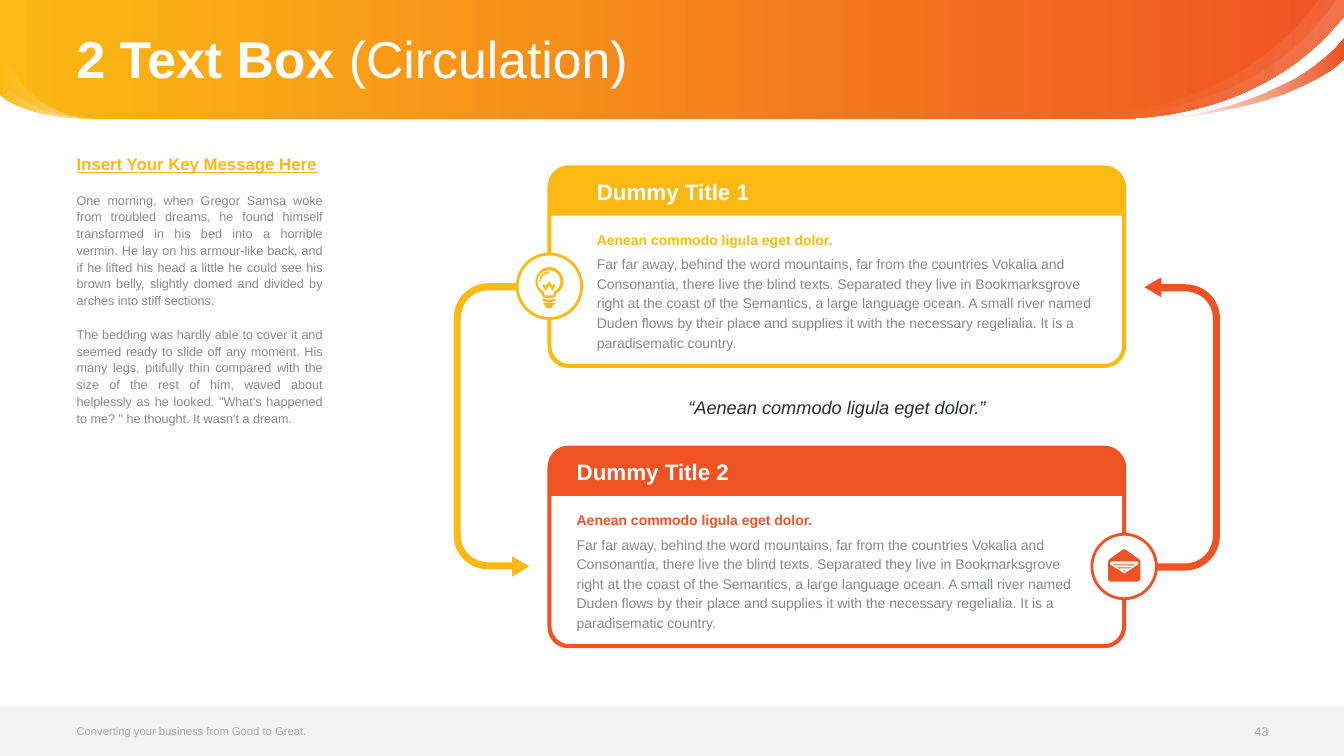
from dataclasses import dataclass

from lxml import etree
from pptx import Presentation
from pptx.dml.color import RGBColor
from pptx.enum.shapes import MSO_SHAPE
from pptx.enum.text import MSO_ANCHOR, MSO_AUTO_SIZE, PP_ALIGN
from pptx.oxml.ns import qn
from pptx.util import Inches, Pt

YELLOW = RGBColor(0xFC, 0xB8, 0x13)
ORANGE = RGBColor(0xEF, 0x53, 0x23)
WHITE = RGBColor(0xFF, 0xFF, 0xFF)
GREY = RGBColor(0x85, 0x89, 0x8F)
DARK = RGBColor(0x29, 0x2C, 0x34)
FOOTER_GREY = RGBColor(0xA6, 0xA6, 0xA6)
FOOTER_FILL = RGBColor(0xF2, 0xF2, 0xF2)
LEFT, CENTER, RIGHT, JUSTIFY = PP_ALIGN.LEFT, PP_ALIGN.CENTER, PP_ALIGN.RIGHT, PP_ALIGN.JUSTIFY
TOP, MIDDLE = MSO_ANCHOR.TOP, MSO_ANCHOR.MIDDLE
NO_FIT, GROW = MSO_AUTO_SIZE.NONE, MSO_AUTO_SIZE.SHAPE_TO_FIT_TEXT
RECTANGLE, OVAL = MSO_SHAPE.RECTANGLE, MSO_SHAPE.OVAL

# A contour lists points (x, y) and Bezier curves (x1, y1, x2, y2, x, y), in inches
Contour = list[tuple[float, ...]]


@dataclass(frozen=True)
class Stop:
    position: float
    color: RGBColor
    opacity: int = 100


@dataclass(frozen=True)
class Swoosh:
    contour: Contour
    stops: tuple[Stop, Stop]


@dataclass(frozen=True)
class Card:
    title: str
    color: RGBColor
    top: float
    text_left: float
    icon_left: float
    icon: list[list[Contour]]


@dataclass(frozen=True)
class Style:
    size: float
    color: RGBColor
    bold: bool = False
    italic: bool = False
    underline: bool = False


# Banner outlines
SHEEN = (Stop(0.15, WHITE, 0), Stop(1, WHITE, 10))
GLOW = (Stop(0, WHITE, 0), Stop(1, WHITE, 50))
SWOOSHES = [
    Swoosh([(13.33, 0), (13.33, 0.16), (12.66, 1, 11.7, 1.17, 11.05, 1.18), (0.97, 1.18),
            (0.18, 1.17, 0, 0.94, 0, 0.94), (0, 0)], (Stop(0, YELLOW), Stop(1, ORANGE))),
    Swoosh([(13.33, 0), (13.33, 0.16), (12.24, 1.53, 10.39, 1.13, 10.34, 1.12),
            (10.4, 1.12, 12.32, 1.39, 13.24, 0)], SHEEN),
    Swoosh([(11.57, 1.18), (11.57, 1.18, 12.82, 1.03, 13.33, 0.37), (13.33, 0.59),
            (13.33, 0.59, 12.94, 1.04, 11.57, 1.18)], (Stop(0, ORANGE, 0), Stop(1, ORANGE))),
    Swoosh([(13.33, 0), (13.33, 0.16), (12.23, 1.55, 10.34, 1.12, 10.34, 1.12),
            (11.89, 1.22, 12.7, 0.5, 13.07, 0)], SHEEN),
    *(Swoosh([(0.98, 1.18), (0.18, 1.17, 0, 0.94, 0, 0.94), (0, top),
              (0, top, 0.18, bend, 0.98, 1.18)], GLOW) for top, bend in ((0.76, 1.17), (0.45, 1.16))),
]

# Circulation arrow, and the frame of the first card
ARROW: Contour = [
    (5.25, 5.62), (5.08, 5.52), (5.08, 5.58), (4.85, 5.58), (4.69, 5.58, 4.57, 5.46, 4.57, 5.31),
    (4.57, 3.16), (4.57, 3, 4.69, 2.88, 4.85, 2.88), (5.13, 2.88), (5.13, 2.81), (4.85, 2.81),
    (4.65, 2.81, 4.5, 2.97, 4.5, 3.16), (4.5, 5.31), (4.5, 5.5, 4.65, 5.65, 4.85, 5.65),
    (5.08, 5.65), (5.08, 5.72)]
FRAME_TOP = 1.64
FRAME: list[Contour] = [
    [(10.95, 1.64), (5.64, 1.64), (5.52, 1.64, 5.43, 1.74, 5.43, 1.86), (5.43, 3.43),
     (5.43, 3.56, 5.52, 3.65, 5.64, 3.65), (10.95, 3.65), (11.07, 3.65, 11.17, 3.56, 11.17, 3.43),
     (11.17, 1.86), (11.17, 1.74, 11.07, 1.64, 10.95, 1.64)],
    [(10.95, 3.61), (5.64, 3.61), (5.55, 3.61, 5.47, 3.53, 5.47, 3.43), (5.47, 2.14),
     (11.13, 2.14), (11.13, 3.43), (11.13, 3.53, 11.05, 3.61, 10.95, 3.61)]]

# Icons
BULB: list[Contour] = [
    [(5.39, 3), (5.39, 3.02), (5.41, 3.03), (5.41, 3.05), (5.42, 3.06, 5.47, 3.06, 5.48, 3.05),
     (5.48, 3.03), (5.5, 3.02), (5.51, 3), (5.47, 3.01, 5.43, 3.01, 5.39, 3)],
    [(5.38, 2.96), (5.38, 2.98), (5.42, 3.01, 5.47, 3.01, 5.51, 2.98),
     (5.51, 2.96), (5.47, 2.98, 5.42, 2.98, 5.38, 2.96)],
    [(5.45, 2.65), (5.37, 2.65, 5.31, 2.72, 5.31, 2.79), (5.31, 2.84, 5.34, 2.89, 5.37, 2.91),
     (5.38, 2.94), (5.42, 2.97, 5.47, 2.97, 5.51, 2.94),
     (5.52, 2.91), (5.56, 2.89, 5.59, 2.84, 5.59, 2.79), (5.59, 2.72, 5.52, 2.65, 5.45, 2.65)],
    [(5.5, 2.89), (5.49, 2.93), (5.4, 2.93), (5.39, 2.89),
     (5.36, 2.88, 5.33, 2.84, 5.33, 2.79), (5.33, 2.73, 5.38, 2.68, 5.45, 2.68),
     (5.51, 2.68, 5.56, 2.73, 5.56, 2.79), (5.56, 2.84, 5.53, 2.88, 5.5, 2.89)]]
FILAMENT: list[Contour] = [
    [(5.49, 2.82), (5.48, 2.84), (5.45, 2.79), (5.41, 2.84), (5.4, 2.82), (5.38, 2.83),
     (5.41, 2.89), (5.45, 2.83), (5.48, 2.89), (5.51, 2.83)],
    [(5.45, 2.71), (5.45, 2.69), (5.39, 2.69, 5.35, 2.74, 5.35, 2.79), (5.36, 2.8),
     (5.36, 2.75, 5.4, 2.71, 5.45, 2.71)]]
ENVELOPE: list[Contour] = [
    [(11.3, 5.55), (11.16, 5.45), (11.14, 5.45), (11, 5.55), (10.99, 5.57), (10.99, 5.75),
     (11.01, 5.77), (11.29, 5.77), (11.31, 5.75), (11.31, 5.57)],
    [(11.29, 5.6), (11.15, 5.69), (11.01, 5.6), (11.01, 5.58), (11.02, 5.57), (11.28, 5.57),
     (11.29, 5.58)],
    [(11.15, 5.67), (11.18, 5.66), (11.13, 5.66)],
    [(11.05, 5.61), (11.25, 5.61), (11.25, 5.6), (11.05, 5.6)],
    [(11.1, 5.64), (11.2, 5.64), (11.22, 5.63), (11.08, 5.63)]]

CARDS = [Card("Dummy Title 1", YELLOW, 1.64, 5.92, 5.13, [BULB, FILAMENT]),
         Card("Dummy Title 2", ORANGE, 4.42, 5.72, 10.83, [ENVELOPE])]
SUBTITLE = "Aenean commodo ligula eget dolor."
CARD_TEXT = ("Far far away, behind the word mountains, far from the countries Vokalia and Consonantia, "
             "there live the blind texts. Separated they live in Bookmarksgrove right at the coast of the "
             "Semantics, a large language ocean. A small river named Duden flows by their place and "
             "supplies it with the necessary regelialia. It is a paradisematic country.")
MESSAGE = [
    ("Insert Your Key Message Here", Style(12, YELLOW, bold=True, underline=True)),
    ("One morning, when Gregor Samsa woke from troubled dreams, he found himself transformed in his bed "
     "into a horrible vermin. He lay on his armour-like back, and if he lifted his head a little he could "
     "see his brown belly, slightly domed and divided by arches into stiff sections.", Style(9, GREY)),
    ("The bedding was hardly able to cover it and seemed ready to slide off any moment. His many legs, "
     "pitifully thin compared with the size of the rest of him, waved about helplessly as he looked. "
     "\"What's happened to me? \" he thought. It wasn't a dream.", Style(9, GREY))]


def bend_curves(shape, contours: list[Contour]) -> None:
    """Join the three segments drawn for each curve into one Bezier segment."""
    nodes = iter(list(next(shape._element.iter(qn("a:path")))))
    for contour in contours:
        for item in contour:
            node = next(nodes)
            if len(item) == 6:
                node.tag = qn("a:cubicBezTo")
                for follower in (next(nodes), next(nodes)):
                    node.append(follower[0])
                    follower.getparent().remove(follower)
        next(nodes)  # the closing node


def draw_outline(slide, contours: list[Contour], color: RGBColor | None = None, down: float = 0):
    paths = [[(Inches(item[i]), Inches(item[i + 1] + down)) for item in contour
              for i in range(0, len(item), 2)] for contour in contours]
    builder = slide.shapes.build_freeform(*paths[0][0], scale=1.0)
    for index, points in enumerate(paths):
        if index:
            builder.move_to(*points[0])
        builder.add_line_segments(points[1:], close=True)
    shape = builder.convert_to_shape()
    bend_curves(shape, contours)
    shape.shadow.inherit = False
    shape.line.fill.background()
    if color is not None:
        shape.fill.solid()
        shape.fill.fore_color.rgb = color
    return shape


def draw_swoosh(slide, swoosh: Swoosh) -> None:
    fill = draw_outline(slide, [swoosh.contour]).fill
    fill.gradient()
    fill.gradient_angle = 0
    for gradient_stop, stop in zip(fill.gradient_stops, swoosh.stops):
        gradient_stop.position = stop.position
        gradient_stop.color.rgb = stop.color
        color_element = gradient_stop._gs.find(qn("a:srgbClr"))
        etree.SubElement(color_element, qn("a:alpha")).set("val", str(stop.opacity * 1000))


def draw_preset(slide, kind, box: tuple[float, ...], color: RGBColor, line: RGBColor | None = None) -> None:
    shape = slide.shapes.add_shape(kind, *map(Inches, box))
    shape.shadow.inherit = False
    shape.fill.solid()
    shape.fill.fore_color.rgb = color
    if line is None:
        shape.line.fill.background()
    else:
        shape.line.color.rgb = line
        shape.line.width = Pt(2)


def format_frame(shape, box: tuple[float, ...], anchor=TOP, fit=NO_FIT):
    shape.left, shape.top, shape.width, shape.height = map(Inches, box)
    frame = shape.text_frame
    frame.word_wrap = True
    frame.auto_size = fit
    frame.vertical_anchor = anchor
    frame.margin_left = frame.margin_top = frame.margin_right = frame.margin_bottom = 0
    return frame


def add_run(paragraph, text: str, style: Style) -> None:
    run = paragraph.add_run()
    run.text = text
    font = run.font
    font.name, font.size, font.color.rgb = "Arial", Pt(style.size), style.color
    font.bold, font.italic, font.underline = style.bold, style.italic, style.underline


def add_text(slide, box: tuple[float, ...], text: str, style: Style, align=LEFT, spacing=None,
             anchor=TOP, fit=GROW) -> None:
    frame = format_frame(slide.shapes.add_textbox(*map(Inches, box)), box, anchor, fit)
    paragraph = frame.paragraphs[0]
    paragraph.alignment = align
    paragraph.line_spacing = spacing
    add_run(paragraph, text, style)


def draw_card(slide, card: Card) -> None:
    draw_outline(slide, FRAME, card.color, card.top - FRAME_TOP)
    draw_preset(slide, OVAL, (card.icon_left, card.top + 0.88, 0.64, 0.64), WHITE, card.color)
    for part in card.icon:
        draw_outline(slide, part, card.color)
    left, top, width = card.text_left, card.top, 5.04
    add_text(slide, (left, top + 0.87, width, 0.98), CARD_TEXT, Style(10, GREY), spacing=Pt(14))
    add_text(slide, (left, top + 0.13, width, 0.27), card.title, Style(16, WHITE, bold=True))
    add_text(slide, (left, top + 0.63, width, 0.2), SUBTITLE, Style(10, card.color, bold=True),
             spacing=Pt(14))


def fill_placeholders(slide) -> None:
    title, body = slide.shapes.title, slide.placeholders[1]
    paragraph = format_frame(title, (0.76, 0.05, 11.81, 1.13), MIDDLE).paragraphs[0]
    paragraph.alignment = LEFT
    paragraph.line_spacing = 0.9
    add_run(paragraph, "2 Text Box ", Style(37, WHITE, bold=True))
    add_run(paragraph, "(Circulation)", Style(37, WHITE))
    frame = format_frame(body, (0.76, 1.56, 2.44, 5.19))
    for index, (text, style) in enumerate(MESSAGE):
        paragraph = frame.add_paragraph() if index else frame.paragraphs[0]
        properties = paragraph._p.get_or_add_pPr()
        properties.set("marL", "0")
        properties.set("indent", "0")
        etree.SubElement(properties, qn("a:buNone"))
        paragraph.alignment = JUSTIFY
        paragraph.line_spacing = Pt(12)
        paragraph.space_before = Pt(12 if index else 0)
        add_run(paragraph, text, style)
    # Bring the placeholders in front of the banner
    for shape in (title, body):
        slide.shapes._spTree.append(shape._element)


def main() -> None:
    presentation = Presentation()
    presentation.slide_width, presentation.slide_height = Inches(13.33), Inches(7.5)
    slide = presentation.slides.add_slide(presentation.slide_layouts[1])
    # Banner, footer band and placeholders
    for swoosh in SWOOSHES:
        draw_swoosh(slide, swoosh)
    draw_preset(slide, RECTANGLE, (0, 7, 13.33, 0.5), FOOTER_FILL)
    fill_placeholders(slide)
    add_text(slide, (0.76, 7.12, 5.23, 0.26), "Converting your business from Good to Great.",
             Style(8, FOOTER_GREY), anchor=MIDDLE, fit=NO_FIT)
    add_text(slide, (11.95, 7.13, 0.63, 0.26), "43", Style(9, FOOTER_GREY), RIGHT,
             anchor=MIDDLE, fit=NO_FIT)
    # Circulation: the second arrow is the first turned by half a circle
    turned = [tuple((8.47 if index % 2 else 16.6) - value for index, value in enumerate(item))
              for item in ARROW]
    draw_outline(slide, [ARROW], YELLOW)
    draw_outline(slide, [turned], ORANGE)
    for card in CARDS:
        draw_card(slide, card)
    add_text(slide, (5.9, 3.95, 4.8, 0.2), f"“{SUBTITLE}”", Style(13, DARK, italic=True), CENTER, Pt(14))
    presentation.save("out.pptx")


if __name__ == "__main__":
    main()
